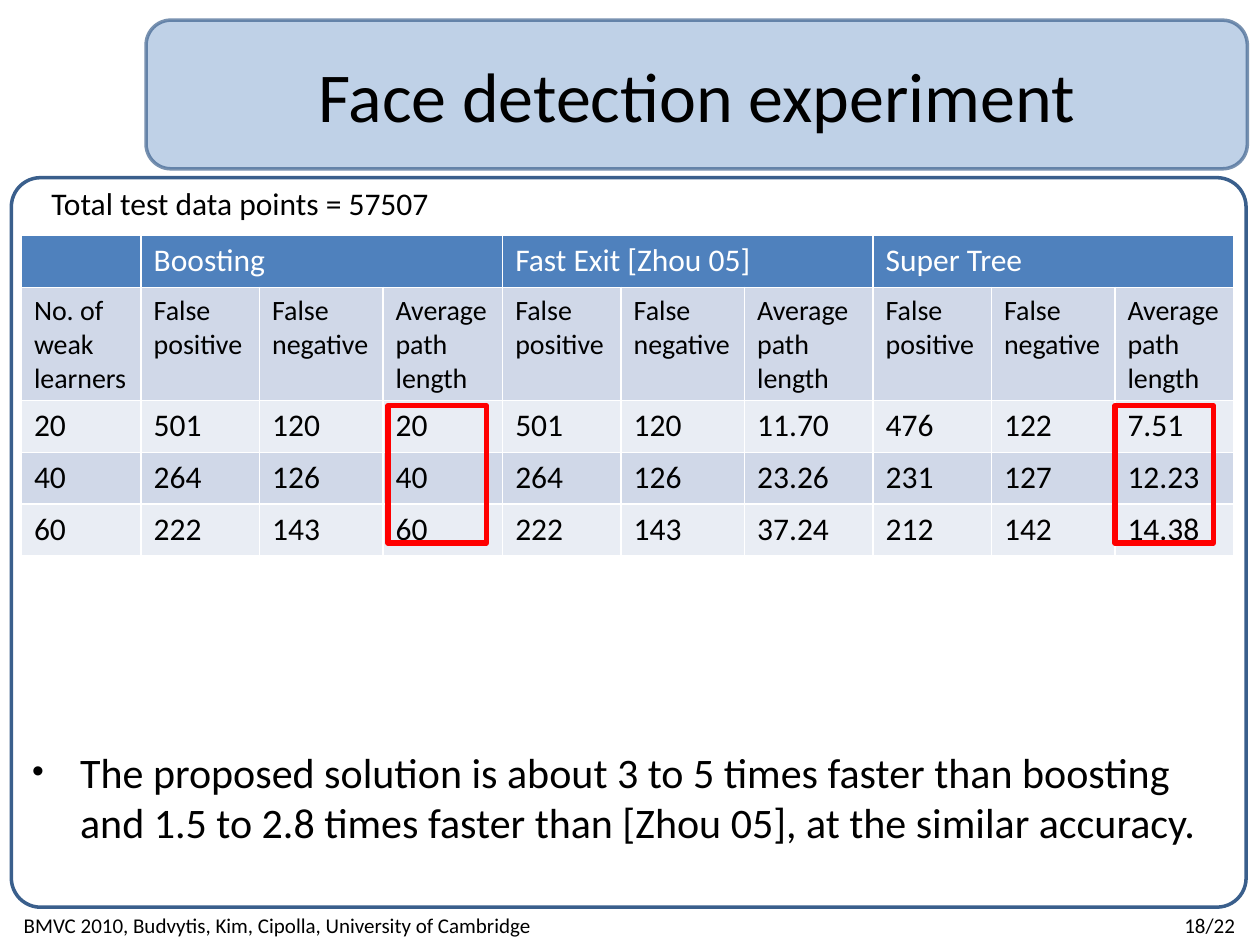
from dataclasses import dataclass

from lxml import etree
from pptx import Presentation
from pptx.dml.color import RGBColor
from pptx.enum.shapes import MSO_SHAPE
from pptx.enum.text import MSO_ANCHOR, PP_ALIGN
from pptx.oxml.ns import qn
from pptx.util import Inches, Pt

ROUNDED, RECTANGLE = MSO_SHAPE.ROUNDED_RECTANGLE, MSO_SHAPE.RECTANGLE
MIDDLE, BOTTOM = MSO_ANCHOR.MIDDLE, MSO_ANCHOR.BOTTOM
LEFT, CENTER, RIGHT = PP_ALIGN.LEFT, PP_ALIGN.CENTER, PP_ALIGN.RIGHT

# The slide is a grid of 100 columns by 75 rows of square units.
UNIT = 0.1
COLUMNS, ROWS = 100, 75


@dataclass(frozen=True)
class Theme:
    font: str = "Calibri"
    ink: str = "000000"
    paper: str = "FFFFFF"
    accent: str = "4F81BD"
    outline: str = "3A5F8C"
    band_dark: str = "D0D8E8"
    band_light: str = "E9EDF4"
    highlight: str = "FF0000"
    title: int = 40
    conclusion: int = 24
    body: int = 18
    subheader: int = 16
    footer: int = 12


THEME = Theme()

METHODS = ["Boosting", "Fast Exit [Zhou 05]", "Super Tree"]
MEASURES = ["False positive", "False negative", "Average path length"]
RESULTS = [
    ["20", "501", "120", "20", "501", "120", "11.70", "476", "122", "7.51"],
    ["40", "264", "126", "40", "264", "126", "23.26", "231", "127", "12.23"],
    ["60", "222", "143", "60", "222", "143", "37.24", "212", "142", "14.38"],
]
COLUMN_WIDTHS = [9.5, 9.4, 9.8, 9.5, 9.4, 9.8, 10.2, 9.4, 9.8, 9.4]
ROW_HEIGHTS = [4.1, 8.8, 4.1, 4.1, 4.1]


def grid(units):
    return Inches(units * UNIT)


def color(code):
    return RGBColor.from_string(code)


def set_opacity(fill_parent, percent):
    """Make the solid fill directly under an XML element translucent."""
    rgb = fill_parent.find(qn("a:solidFill")).find(qn("a:srgbClr"))
    etree.SubElement(rgb, qn("a:alpha"), val=str(percent * 1000))


def write(frame, text, size, ink=THEME.ink, align=LEFT):
    paragraph = frame.paragraphs[0]
    paragraph.text = text
    paragraph.alignment = align
    font = paragraph.font
    font.name, font.size, font.bold = THEME.font, Pt(size), False
    font.color.rgb = color(ink)
    return paragraph


def add_frame(slide, kind, box, outline, width):
    """Add an outlined, unfilled shape."""
    frame = slide.shapes.add_shape(kind, *map(grid, box))
    frame.shadow.inherit = False
    frame.fill.background()
    frame.line.color.rgb = color(outline)
    frame.line.width = Pt(width)
    return frame


def add_title(slide, text):
    banner = add_frame(slide, ROUNDED, (11.6, 1.6, 87.4, 11.8), THEME.outline, 2)
    banner.fill.solid()
    banner.fill.fore_color.rgb = color(THEME.accent)
    properties = banner.fill._xPr
    set_opacity(properties, 36)
    set_opacity(properties.find(qn("a:ln")), 68)
    banner.text_frame.vertical_anchor = MIDDLE
    write(banner.text_frame, text, THEME.title, align=CENTER)


def add_bullet(paragraph, indent):
    properties = paragraph._p.get_or_add_pPr()
    properties.set("marL", str(indent))
    properties.set("indent", str(-indent))
    bullet_color = etree.SubElement(properties, qn("a:buClr"))
    etree.SubElement(bullet_color, qn("a:srgbClr"), val=THEME.ink)
    etree.SubElement(properties, qn("a:buSzPct"), val="80000")
    etree.SubElement(properties, qn("a:buFont"), typeface="Arial")
    etree.SubElement(properties, qn("a:buChar"), char="•")


def add_conclusion_panel(slide, text):
    panel = add_frame(slide, ROUNDED, (0.9, 14.1, 98, 57.9), THEME.outline, 2)
    panel.adjustments[0] = 0.04
    frame = panel.text_frame
    frame.vertical_anchor = BOTTOM
    frame.margin_bottom = grid(4.1)
    conclusion = write(frame, text, THEME.conclusion)
    conclusion.space_before = Pt(5)
    add_bullet(conclusion, grid(3.8))


def add_label(slide, box, text, size, align=LEFT):
    label = slide.shapes.add_textbox(*map(grid, box))
    label.text_frame.word_wrap = True
    write(label.text_frame, text, size, align=align)


def fill_row(row, texts, size, ink, background):
    for cell, text in zip(row.cells, texts):
        cell.fill.solid()
        cell.fill.fore_color.rgb = color(background)
        write(cell.text_frame, text, size, ink)


def add_results_table(slide, left, top):
    box = (left, top, sum(COLUMN_WIDTHS), sum(ROW_HEIGHTS))
    table = slide.shapes.add_table(
        len(ROW_HEIGHTS), len(COLUMN_WIDTHS), *map(grid, box)).table
    for column, width in zip(table.columns, COLUMN_WIDTHS):
        column.width = grid(width)
    for row, height in zip(table.rows, ROW_HEIGHTS):
        row.height = grid(height)

    span = len(MEASURES)
    header = [""]
    for method in METHODS:
        header += [method] + [""] * (span - 1)
    subheader = ["No. of weak learners"] + MEASURES * len(METHODS)
    fill_row(table.rows[0], header, THEME.body, THEME.paper, THEME.accent)
    fill_row(table.rows[1], subheader, THEME.subheader, THEME.ink, THEME.band_dark)
    bands = [THEME.band_light, THEME.band_dark]
    for index, result in enumerate(RESULTS):
        fill_row(table.rows[index + 2], result, THEME.body, THEME.ink,
                 bands[index % 2])
    for first in range(1, len(COLUMN_WIDTHS), span):
        table.cell(0, first).merge(table.cell(0, first + span - 1))


def main():
    presentation = Presentation()
    presentation.slide_width, presentation.slide_height = grid(COLUMNS), grid(ROWS)
    slide = presentation.slides.add_slide(presentation.slide_layouts[6])

    add_title(slide, "Face detection experiment")
    add_conclusion_panel(
        slide,
        "The proposed solution is about 3 to 5 times faster than boosting and "
        "1.5 to 2.8 times faster than [Zhou 05], at the similar accuracy.")
    add_label(slide, (0.9, 71.9, 52.3, 3),
              "BMVC 2010, Budvytis, Kim, Cipolla, University of Cambridge",
              THEME.footer)
    add_label(slide, (91.5, 71.9, 7.5, 3), "18/22", THEME.footer, RIGHT)
    add_results_table(slide, 1.7, 18.7)
    add_label(slide, (3.1, 14.1, 39.8, 4), "Total test data points = 57507",
              THEME.body)
    for path_length_left in (30.8, 88.5):
        add_frame(slide, RECTANGLE, (path_length_left, 32.2, 7.8, 10.9),
                  THEME.highlight, 3)

    presentation.save("out.pptx")


if __name__ == "__main__":
    main()
